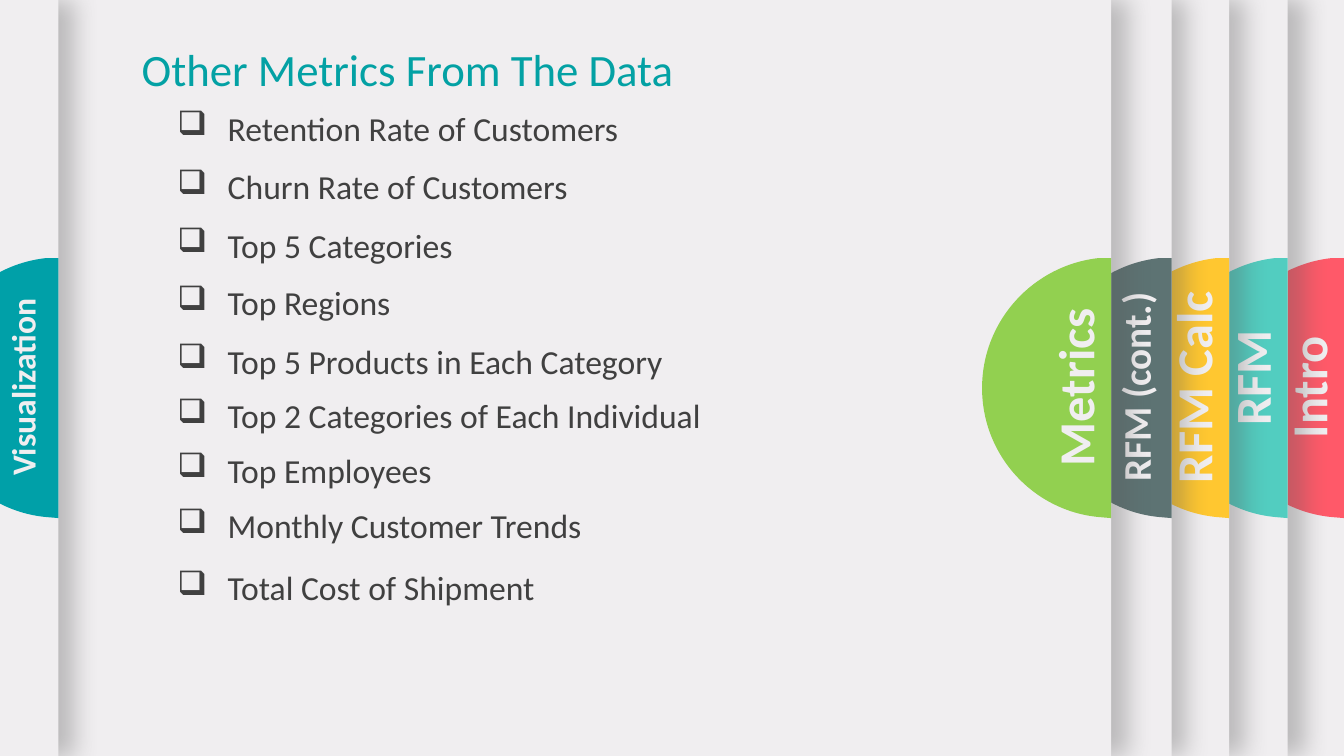
from dataclasses import dataclass

from lxml import etree
from pptx import Presentation
from pptx import util as u
from pptx.dml.color import RGBColor
from pptx.enum import shapes, text
from pptx.oxml import parse_xml
from pptx.oxml.ns import nsdecls, qn

PX = 9144
SLIDE_WIDTH, SLIDE_HEIGHT = 1333, 750
TAB_TOP, TAB_MIDDLE, TAB_BOTTOM = 256, 385, 514
LABEL_WIDTH, LABEL_INSET = 218, 36
BULLET_LEFT, BULLET_HEIGHT, BULLET_INDENT = 166, 50, 50


@dataclass(frozen=True)
class Theme:
    """Colours, type sizes and the font of the slide."""
    font: str = "Calibri"
    paper: str = "F0EEF0"
    shadow: str = "595959"
    title: str = "03A1A4"
    body: str = "404040"
    title_size: int = 32
    body_size: int = 24


THEME = Theme()

PANELS = [
    (-32, 1333, "FF5969", "Intro", 36, 384),
    (25, 1277, "52CDC0", "RFM", 36, 375),
    (129, 1219, "FFC730", "RFM Calc", 36, 384),
    (115, 1162, "5D7373", "RFM (cont.)", 28, 384),
    (-195, 1102, "92D050", "Metrics", 36, 384),
    (-1027, 58, "00A0A8", "Visualization", 24, 384),
]

METRICS = [
    (102, 512, "Retention Rate of Customers"),
    (160, 512, "Churn Rate of Customers"),
    (218, 512, "Top 5 Categories"),
    (275, 512, "Top Regions"),
    (333, 592, "Top 5 Products in Each Category"),
    (387, 649, "Top 2 Categories of Each Individual"),
    (441, 512, "Top Employees"),
    (496, 512, "Monthly Customer Trends"),
    (558, 649, "Total Cost of Shipment"),
]


def px(*lengths):
    """Turn pixel lengths into EMU."""
    return [u.Emu(round(length * PX)) for length in lengths]


def paint(shape, color):
    """Give a shape a plain fill without outline or inherited shadow."""
    shape.shadow.inherit = False
    shape.fill.solid()
    shape.fill.fore_color.rgb = RGBColor.from_string(color)
    shape.line.fill.background()


def cast_shadow(shape):
    """Add a soft shadow to the right of a shape."""
    effects = shape._element.spPr.find(qn("a:effectLst"))
    effects.append(parse_xml(
        f'<a:outerShdw {nsdecls("a")} blurRad="{u.Pt(17)}" dist="{u.Pt(3)}" dir="0" '
        f'sx="101000" algn="l" rotWithShape="0"><a:srgbClr val="{THEME.shadow}">'
        '<a:alpha val="35000"/></a:srgbClr></a:outerShdw>'))


def write(box, words, size, color, bold=False, align=None):
    """Put one formatted paragraph into a box and return the paragraph."""
    frame = box.text_frame
    frame.text = words
    frame.word_wrap = True
    frame.auto_size = text.MSO_AUTO_SIZE.SHAPE_TO_FIT_TEXT
    frame.vertical_anchor = text.MSO_ANCHOR.TOP
    para = frame.paragraphs[0]
    para.alignment = align
    font = para.runs[0].font
    font.name, font.size, font.bold = THEME.font, u.Pt(size), bold
    font.color.rgb = RGBColor.from_string(color)
    return para


def bend(shape, first):
    """Turn each three line segments from the given one on into a curve."""
    lines = list(shape._element.iter(qn("a:lnTo")))[first:]
    for start in range(0, len(lines), 3):
        curve, *others = lines[start:start + 3]
        for line in others:
            curve.append(line[0])
            line.getparent().remove(line)
        curve.tag = qn("a:cubicBezTo")


def add_half_disc(group, right, color):
    """Draw a half disc that bulges left from a panel's right edge."""
    outline = [(0, TAB_TOP), (0, TAB_BOTTOM), (12, TAB_BOTTOM - 1),
               (77, 507), (128, 452), (128, TAB_MIDDLE),
               (128, 318), (77, 263), (12, TAB_TOP)]
    points = [px(right - reach, down) for reach, down in outline]
    builder = group.shapes.build_freeform(*points[0])
    builder.add_line_segments(points[1:], close=True)
    disc = builder.convert_to_shape()
    bend(disc, first=2)
    paint(disc, color)


def add_panel(page, left, right, color, label, size, middle):
    """Add a sheet with its coloured tab and upright label."""
    group = page.shapes.add_group_shape()
    sheet = group.shapes.add_shape(shapes.MSO_SHAPE.RECTANGLE,
                                   *px(left, 0, right - left, SLIDE_HEIGHT))
    paint(sheet, THEME.paper)
    cast_shadow(sheet)
    add_half_disc(group, right, color)
    height = {36: 71, 28: 57, 24: 50}[size]
    box = group.shapes.add_textbox(*px(right - LABEL_INSET - LABEL_WIDTH / 2,
                                       middle - height / 2, LABEL_WIDTH, height))
    box.rotation = 270
    write(box, label, size, THEME.paper, bold=True, align=text.PP_ALIGN.CENTER)


def place_title(page, words):
    """Move the title placeholder above the panels and format it."""
    title = page.shapes.title
    page.shapes._spTree.append(title._element)
    title.left, title.top, title.width, title.height = px(129, 36, 551, 64)
    write(title, words, THEME.title_size, THEME.title, align=text.PP_ALIGN.CENTER)


def add_bullet(page, top, width, words):
    """Add one metric with a box-shaped Wingdings bullet."""
    box = page.shapes.add_textbox(*px(BULLET_LEFT, top, width, BULLET_HEIGHT))
    para = write(box, words, THEME.body_size, THEME.body)
    properties = para._p.get_or_add_pPr()
    indent, = px(BULLET_INDENT)
    properties.set("marL", str(indent))
    properties.set("indent", str(-indent))
    bullet_font = etree.SubElement(properties, qn("a:buFont"))
    bullet_font.set("typeface", "Wingdings")
    bullet_font.set("pitchFamily", "2")
    bullet_font.set("charset", "2")
    etree.SubElement(properties, qn("a:buChar")).set("char", "q")


def main():
    """Build the slide and save the deck."""
    deck = Presentation()
    deck.slide_width, deck.slide_height = px(SLIDE_WIDTH, SLIDE_HEIGHT)
    page = deck.slides.add_slide(deck.slide_layouts.get_by_name("Title Only"))
    page.background.fill.solid()
    page.background.fill.fore_color.rgb = RGBColor.from_string(THEME.paper)
    for panel in PANELS:
        add_panel(page, *panel)
    place_title(page, "Other Metrics From The Data")
    for metric in METRICS:
        add_bullet(page, *metric)
    deck.save("out.pptx")


if __name__ == "__main__":
    main()
